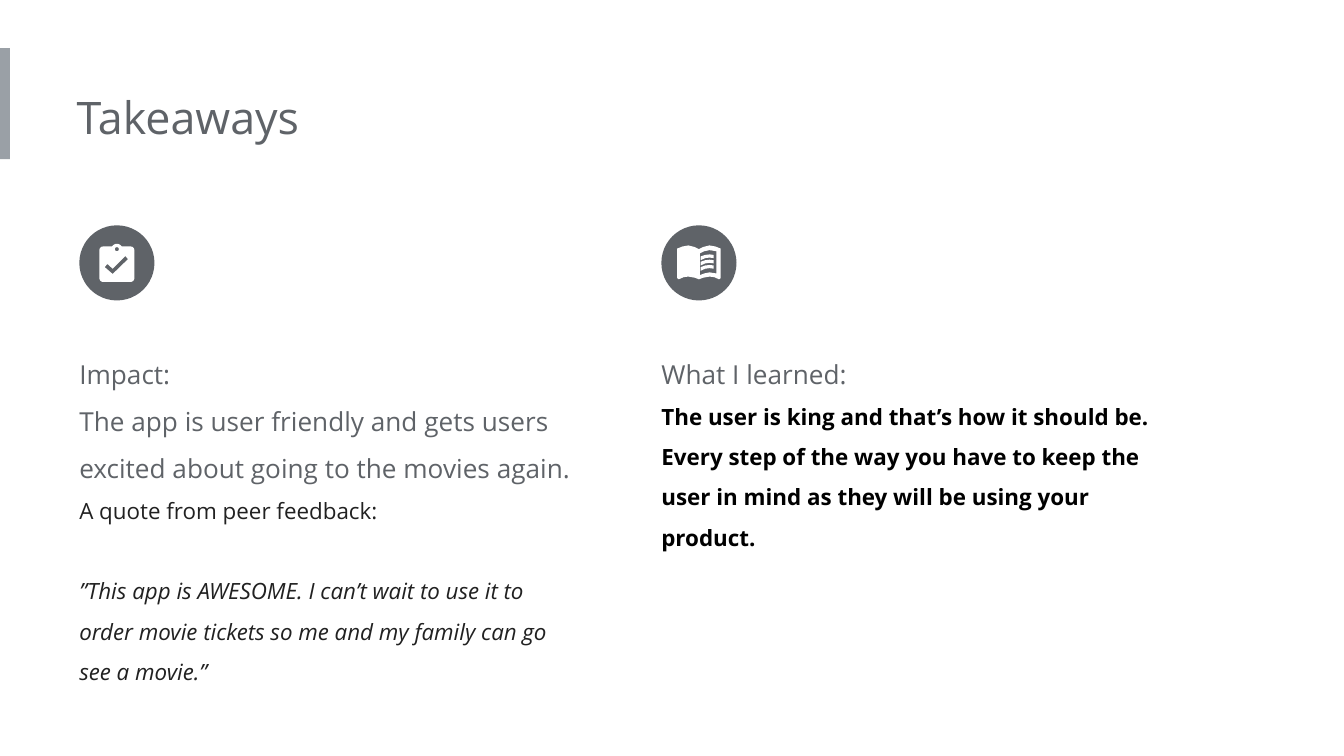
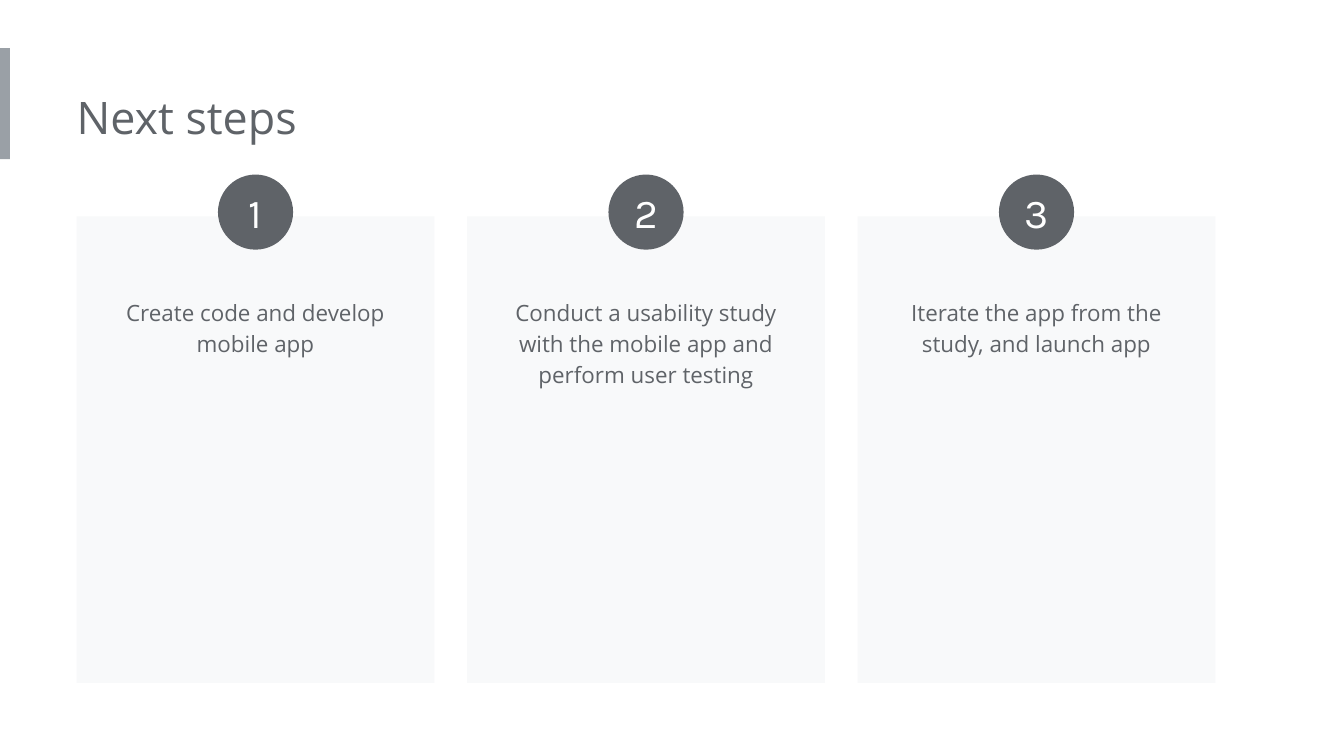
from dataclasses import dataclass
from math import cos, radians, sin
from typing import NamedTuple, Optional

from pptx import Presentation
from pptx.dml.color import RGBColor
from pptx.enum.shapes import MSO_SHAPE
from pptx.enum.text import MSO_ANCHOR, MSO_AUTO_SIZE, PP_ALIGN
from pptx.shapes.autoshape import Shape
from pptx.slide import Slide
from pptx.util import Cm, Pt

Point = tuple[float, float]
Contour = list[Point]


@dataclass(frozen=True)
class Theme:
    band: RGBColor = RGBColor(0x9A, 0xA0, 0xA6)
    gray: RGBColor = RGBColor(0x5F, 0x63, 0x68)
    card: RGBColor = RGBColor(0xF8, 0xF9, 0xFA)
    ink: RGBColor = RGBColor(0x21, 0x21, 0x21)
    black: RGBColor = RGBColor(0, 0, 0)
    white: RGBColor = RGBColor(0xFF, 0xFF, 0xFF)
    text_font: str = "Open Sans"
    number_font: str = "Karla"
    title_size: float = 24
    number_size: float = 22
    lead_size: float = 14
    body_size: float = 12


THEME = Theme()
BADGE_SIZE = 1.42


class Box(NamedTuple):
    """Left, top, width and height in centimetres."""
    left: float
    top: float
    width: float
    height: float

    def lengths(self) -> list[Cm]:
        return [Cm(value) for value in self]


@dataclass(frozen=True)
class Line:
    text: str
    size: float = THEME.body_size
    color: RGBColor = THEME.gray
    font: str = THEME.text_font
    bold: bool = False
    italic: bool = False
    align: PP_ALIGN = PP_ALIGN.LEFT
    spacing: Optional[float] = None
    space_before: float = 0


@dataclass(frozen=True)
class Column:
    left: float
    height: float
    icon: list[list[Contour]]
    lines: list[Line]


# Icon outlines, in centimetres from the badge centre
def arc(x: float, y: float, radius: float, start: int, end: int, steps: int = 8) -> Contour:
    angles = [radians(start + (end - start) * step / steps) for step in range(steps + 1)]
    return [(x + radius * cos(angle), y + radius * sin(angle)) for angle in angles]


def mirror(points: Contour) -> Contour:
    return [(-x, y) for x, y in reversed(points)]


def clipboard_icon() -> list[list[Contour]]:
    board = (
        arc(0, -0.25, 0.11, 213, 327)
        + arc(0.26, -0.24, 0.07, 270, 360)
        + arc(0.26, 0.29, 0.07, 0, 90)
        + arc(-0.26, 0.29, 0.07, 90, 180)
        + arc(-0.26, -0.24, 0.07, 180, 270)
    )
    clip_hole = arc(0, -0.26, 0.04, 360, 0)
    check = [(-0.23, 0.08), (-0.18, 0.02), (-0.08, 0.11), (0.16, -0.13), (0.21, -0.07), (-0.08, 0.21)]
    return [[board, clip_hole, check]]


def book_icon() -> list[list[Contour]]:
    top = [(0, -0.26), (0.08, -0.3), (0.2, -0.33), (0.31, -0.31), (0.41, -0.27)]
    bottom = [(0.41, 0.29), (0.38, 0.31), (0.29, 0.27), (0.2, 0.26), (0.08, 0.28), (0, 0.31)]
    half = top + bottom
    page = [(0.02, -0.18), (0.1, -0.22), (0.2, -0.24), (0.33, -0.22),
            (0.33, 0.2), (0.2, 0.18), (0.1, 0.2), (0.02, 0.23)]
    text_row = [(0.03, -0.12), (0.12, -0.15), (0.2, -0.16), (0.28, -0.15),
                (0.28, -0.09), (0.2, -0.1), (0.12, -0.09), (0.03, -0.05)]
    rows = [[[(x, y + row * 0.1) for x, y in text_row]] for row in range(3)]
    return [[half + mirror(half), page], *rows]


# Drawing helpers
def paint(shape: Shape, color: RGBColor) -> None:
    shape.shadow.inherit = False
    shape.fill.solid()
    shape.fill.fore_color.rgb = color
    shape.line.fill.background()


def add_block(slide: Slide, kind: MSO_SHAPE, box: Box, color: RGBColor) -> Shape:
    shape = slide.shapes.add_shape(kind, *box.lengths())
    paint(shape, color)
    return shape


def write_lines(shape: Shape, lines: list[Line]) -> None:
    frame = shape.text_frame
    for index, line in enumerate(lines):
        paragraph = frame.add_paragraph() if index else frame.paragraphs[0]
        paragraph.text = line.text
        paragraph.alignment = line.align
        paragraph.line_spacing = line.spacing
        if line.space_before:
            paragraph.space_before = Pt(line.space_before)
        font = paragraph.font
        font.name, font.size = line.font, Pt(line.size)
        font.bold, font.italic = line.bold, line.italic
        font.color.rgb = line.color


def add_text(slide: Slide, box: Box, lines: list[Line], left_inset: float = 0) -> None:
    shape = slide.shapes.add_textbox(*box.lengths())
    frame = shape.text_frame
    frame.word_wrap = True
    frame.auto_size = MSO_AUTO_SIZE.SHAPE_TO_FIT_TEXT
    frame.margin_left = Cm(left_inset)
    frame.margin_top = frame.margin_right = frame.margin_bottom = Cm(0.25)
    write_lines(shape, lines)


def add_badge(slide: Slide, left: float, top: float) -> Shape:
    return add_block(slide, MSO_SHAPE.OVAL, Box(left, top, BADGE_SIZE, BADGE_SIZE), THEME.gray)


def add_icon(slide: Slide, center: Point, icon: list[list[Contour]]) -> None:
    for contours in icon:
        placed = [[(Cm(center[0] + x), Cm(center[1] + y)) for x, y in contour] for contour in contours]
        builder = slide.shapes.build_freeform(*placed[0][0], scale=1.0)
        for index, contour in enumerate(placed):
            if index:
                builder.move_to(*contour[0])
            builder.add_line_segments(contour[1:], close=True)
        paint(builder.convert_to_shape(), THEME.white)


def add_titled_slide(presentation: Presentation, title: str) -> Slide:
    slide = presentation.slides.add_slide(presentation.slide_layouts[6])
    add_block(slide, MSO_SHAPE.RECTANGLE, Box(0, 0.91, 0.19, 2.1), THEME.band)
    add_text(slide, Box(1.45, 1.45, 13.7, 1.55), [Line(title, THEME.title_size)])
    return slide


# Slide 1: two columns, each under an icon badge
def build_takeaways(presentation: Presentation) -> None:
    slide = add_titled_slide(presentation, "Takeaways")
    columns = [
        Column(1.5, 7.95, clipboard_icon(), [
            Line("Impact:", THEME.lead_size, spacing=1.5),
            Line("The app is user friendly and gets users excited about going to the movies again.",
                 THEME.lead_size, spacing=1.5),
            Line("A quote from peer feedback:", color=THEME.ink, spacing=1.5),
            Line("”This app is AWESOME. I can’t wait to use it to order movie tickets "
                 "so me and my family can go see a movie.”",
                 color=THEME.ink, italic=True, spacing=1.5, space_before=21.6),
        ]),
        Column(12.5, 4.5, book_icon(), [
            Line("What I learned:", THEME.lead_size, spacing=1.5),
            Line("The user is king and that’s how it should be. Every step of the way "
                 "you have to keep the user in mind as they will be using your product.",
                 color=THEME.black, bold=True, spacing=1.5),
        ]),
    ]
    badge_top = 4.26
    for column in columns:
        add_text(slide, Box(column.left, 6.22, 9.58, column.height), column.lines)
        add_badge(slide, column.left, badge_top)
        center = (column.left + BADGE_SIZE / 2, badge_top + BADGE_SIZE / 2)
        add_icon(slide, center, column.icon)


# Slide 2: three numbered cards
def build_next_steps(presentation: Presentation) -> None:
    slide = add_titled_slide(presentation, "Next steps")
    steps = [
        "Create code and develop mobile app",
        "Conduct a usability study with the mobile app and perform user testing",
        "Iterate the app from the study, and launch app",
    ]
    first_left, pitch, width, text_width = 1.45, 7.38, 6.76, 5.7
    for index, step in enumerate(steps):
        left = first_left + index * pitch
        add_block(slide, MSO_SHAPE.RECTANGLE, Box(left, 4.09, width, 8.82), THEME.card)
        add_text(slide, Box(left + (width - text_width) / 2, 5.33, text_width, 1.7),
                 [Line(step, align=PP_ALIGN.CENTER, spacing=1.15)], left_inset=0.25)
        badge = add_badge(slide, left + (width - BADGE_SIZE) / 2, 3.3)
        frame = badge.text_frame
        frame.margin_left = frame.margin_top = frame.margin_right = frame.margin_bottom = 0
        frame.vertical_anchor = MSO_ANCHOR.MIDDLE
        write_lines(badge, [Line(str(index + 1), THEME.number_size, THEME.white,
                                 THEME.number_font, align=PP_ALIGN.CENTER)])


def main() -> None:
    presentation = Presentation()
    presentation.slide_width, presentation.slide_height = Cm(25.4), Cm(14.29)
    build_takeaways(presentation)
    build_next_steps(presentation)
    presentation.save("out.pptx")


if __name__ == "__main__":
    main()
